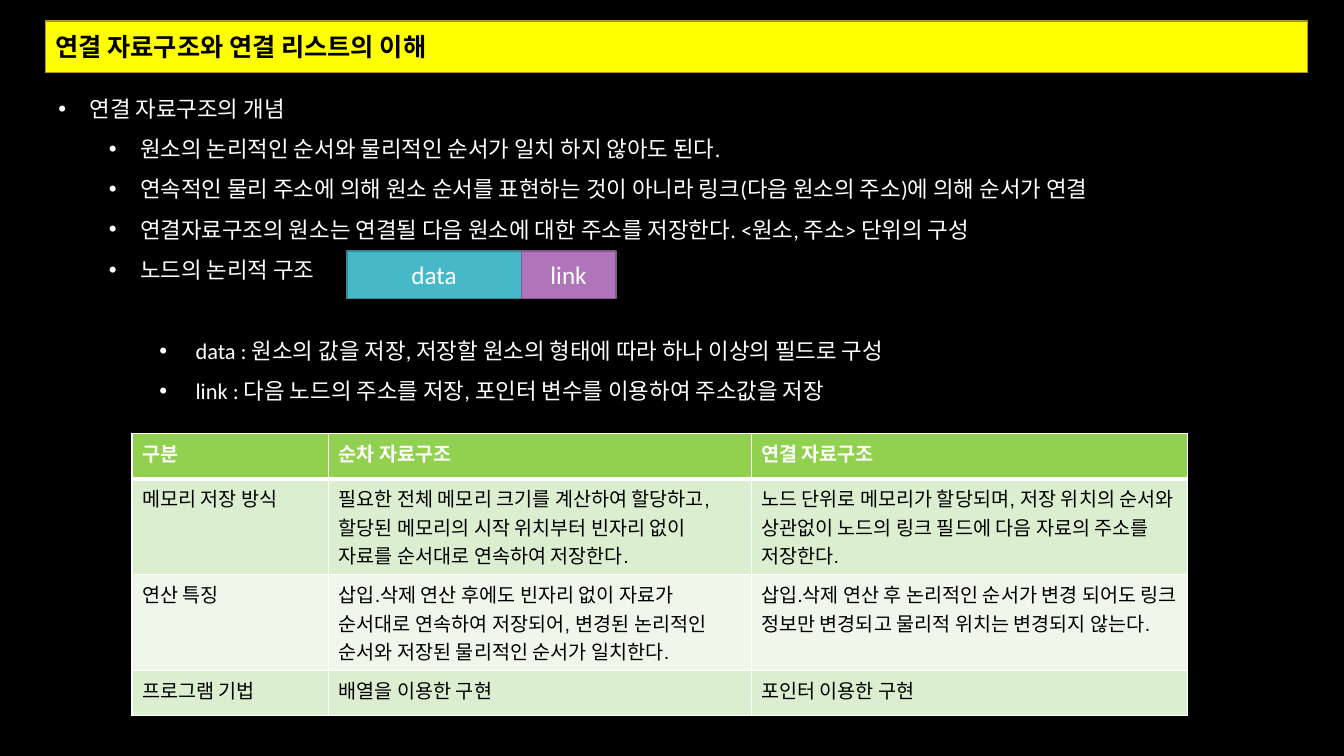
from dataclasses import dataclass

from lxml import etree
from pptx import Presentation
from pptx.dml.color import RGBColor
from pptx.enum.shapes import MSO_SHAPE
from pptx.enum.text import MSO_ANCHOR, MSO_AUTO_SIZE, PP_ALIGN
from pptx.oxml.ns import qn
from pptx.slide import Slide
from pptx.util import Inches, Pt

RECTANGLE = MSO_SHAPE.RECTANGLE
TOP, MIDDLE = MSO_ANCHOR.TOP, MSO_ANCHOR.MIDDLE
LEFT, CENTER = PP_ALIGN.LEFT, PP_ALIGN.CENTER
NO_AUTOFIT = MSO_AUTO_SIZE.NONE

COLORS = {
    "black": "000000",
    "white": "FFFFFF",
    "title_fill": "FFFF00",
    "title_line": "B79024",
    "data_fill": "47B8C7",
    "data_line": "358893",
    "link_fill": "B074BA",
    "link_line": "82568A",
    "header": "92D050",
    "band_dark": "DCEED0",
    "band_light": "EEF7E9",
}


@dataclass(frozen=True)
class Bullet:
    text: str
    level: int
    space_before: float = 0


@dataclass(frozen=True)
class NodeField:
    text: str
    left: float
    width: float
    fill: str
    line: str


TITLE = "연결 자료구조와 연결 리스트의 이해"
BULLETS = [
    Bullet("연결 자료구조의 개념", 0),
    Bullet("원소의 논리적인 순서와 물리적인 순서가 일치 하지 않아도 된다.", 1),
    Bullet("연속적인 물리 주소에 의해 원소 순서를 표현하는 것이 아니라 "
           "링크(다음 원소의 주소)에 의해 순서가 연결", 1),
    Bullet("연결자료구조의 원소는 연결될 다음 원소에 대한 주소를 저장한다. "
           "<원소, 주소> 단위의 구성", 1),
    Bullet("노드의 논리적 구조", 1),
    Bullet(" data : 원소의 값을 저장, 저장할 원소의 형태에 따라 "
           "하나 이상의 필드로 구성", 2, space_before=29),
    Bullet(" link : 다음 노드의 주소를 저장, 포인터 변수를 이용하여 "
           "주소값을 저장", 2),
]
NODE_FIELDS = [
    NodeField("data", 3.44, 1.73, "data_fill", "data_line"),
    NodeField("link", 5.17, 0.94, "link_fill", "link_line"),
]
COLUMN_WIDTHS = [1.95, 4.19, 4.33]
ROW_HEIGHTS = [0.45, 0.89, 0.89, 0.45]
COMPARISON = [
    ["구분", "순차 자료구조", "연결 자료구조"],
    ["메모리 저장 방식",
     "필요한 전체 메모리 크기를 계산하여 할당하고, 할당된 메모리의 "
     "시작 위치부터 빈자리 없이 자료를 순서대로 연속하여 저장한다.",
     "노드 단위로 메모리가 할당되며, 저장 위치의 순서와 상관없이 "
     "노드의 링크 필드에 다음 자료의 주소를 저장한다."],
    ["연산 특징",
     "삽입.삭제 연산 후에도 빈자리 없이 자료가 순서대로 연속하여 저장되어, "
     "변경된 논리적인 순서와 저장된 물리적인 순서가 일치한다.",
     "삽입.삭제 연산 후 논리적인 순서가 변경 되어도 링크 정보만 변경되고 "
     "물리적 위치는 변경되지 않는다."],
    ["프로그램 기법", "배열을 이용한 구현", "포인터 이용한 구현"],
]


def rgb(name: str) -> RGBColor:
    return RGBColor.from_string(COLORS[name])


def place(shape, left: float, top: float, width: float, height: float) -> None:
    shape.left, shape.top = Inches(left), Inches(top)
    shape.width, shape.height = Inches(width), Inches(height)


def paint(shape, fill: str, line: str) -> None:
    shape.fill.solid()
    shape.fill.fore_color.rgb = rgb(fill)
    shape.line.color.rgb = rgb(line)
    shape.line.width = Pt(1)


def format_runs(paragraph, size: float, color: str, font: str = "Calibri",
                bold: bool = False) -> None:
    for run in paragraph.runs:
        run.font.size = Pt(size)
        run.font.name = font
        run.font.bold = bold
        run.font.color.rgb = rgb(color)


def set_bullet(paragraph, indent: float) -> None:
    properties = paragraph._p.get_or_add_pPr()
    properties.set("marL", str(Inches(indent)))
    properties.set("indent", str(Inches(-0.31)))
    etree.SubElement(properties, qn("a:buFont"), typeface="Arial")
    etree.SubElement(properties, qn("a:buChar"), char="•")


def add_title(slide: Slide) -> None:
    title = slide.shapes.title
    place(title, 0.45, 0.21, 12.52, 0.51)
    geometry = etree.Element(qn("a:prstGeom"), prst="roundRect")
    etree.SubElement(geometry, qn("a:avLst"))
    title._element.spPr.insert(1, geometry)  # directly after the position
    paint(title, "title_fill", "title_line")
    frame = title.text_frame
    frame.text = TITLE
    frame.auto_size = NO_AUTOFIT
    frame.vertical_anchor = MIDDLE
    frame.paragraphs[0].alignment = LEFT
    format_runs(frame.paragraphs[0], 18, "black", bold=True)


def add_body(slide: Slide) -> None:
    body = slide.placeholders[1]
    place(body, 0.48, 0.76, 12.48, 6.46)
    paint(body, "black", "black")
    frame = body.text_frame
    frame.text = "\n".join(bullet.text for bullet in BULLETS)
    frame.auto_size = NO_AUTOFIT
    frame.vertical_anchor = TOP
    for paragraph, bullet in zip(frame.paragraphs, BULLETS):
        paragraph.level = bullet.level
        paragraph.line_spacing = 1.5
        paragraph.space_before = Pt(bullet.space_before)
        set_bullet(paragraph, 0.31 + 0.5 * bullet.level)
        format_runs(paragraph, 16, "white")


def set_borders(cell, top: float, bottom: float) -> None:
    """Draw white cell borders; top and bottom are widths in points."""
    properties = cell._tc.get_or_add_tcPr()
    for side, width in (("L", 1), ("R", 1), ("T", top), ("B", bottom)):
        line = etree.SubElement(properties, qn(f"a:ln{side}"), w=str(Pt(width)))
        fill = etree.SubElement(line, qn("a:solidFill"))
        etree.SubElement(fill, qn("a:srgbClr"), val=COLORS["white"])


def add_comparison_table(slide: Slide) -> None:
    table = slide.shapes.add_table(
        len(ROW_HEIGHTS), len(COLUMN_WIDTHS), Inches(1.31), Inches(4.3),
        Inches(sum(COLUMN_WIDTHS)), Inches(sum(ROW_HEIGHTS))).table
    for column, width in zip(table.columns, COLUMN_WIDTHS):
        column.width = Inches(width)
    for row_index, (row, height) in enumerate(zip(table.rows, ROW_HEIGHTS)):
        row.height = Inches(height)
        is_header = row_index == 0
        band = "band_dark" if row_index % 2 else "band_light"
        for cell, text in zip(row.cells, COMPARISON[row_index]):
            set_borders(cell, top=3 if row_index == 1 else 1,
                        bottom=3 if is_header else 1)
            cell.fill.solid()
            cell.fill.fore_color.rgb = rgb("header" if is_header else band)
            cell.text_frame.text = text
            format_runs(cell.text_frame.paragraphs[0], 14,
                        "white" if is_header else "black",
                        "Calibri" if is_header else "Arial", is_header)


def add_node_field(slide: Slide, field: NodeField) -> None:
    shape = slide.shapes.add_shape(RECTANGLE, Inches(field.left), Inches(2.49),
                                   Inches(field.width), Inches(0.47))
    shape.shadow.inherit = False
    paint(shape, field.fill, field.line)
    frame = shape.text_frame
    frame.text = field.text
    frame.vertical_anchor = MIDDLE
    frame.paragraphs[0].alignment = CENTER
    format_runs(frame.paragraphs[0], 18, "white")


def main() -> None:
    presentation = Presentation()
    presentation.slide_width = Inches(13.33)
    presentation.slide_height = Inches(7.5)
    slide = presentation.slides.add_slide(presentation.slide_layouts[1])
    slide.background.fill.solid()
    slide.background.fill.fore_color.rgb = rgb("black")
    add_title(slide)
    add_body(slide)
    add_comparison_table(slide)
    for field in NODE_FIELDS:
        add_node_field(slide, field)
    presentation.save("out.pptx")


if __name__ == "__main__":
    main()
